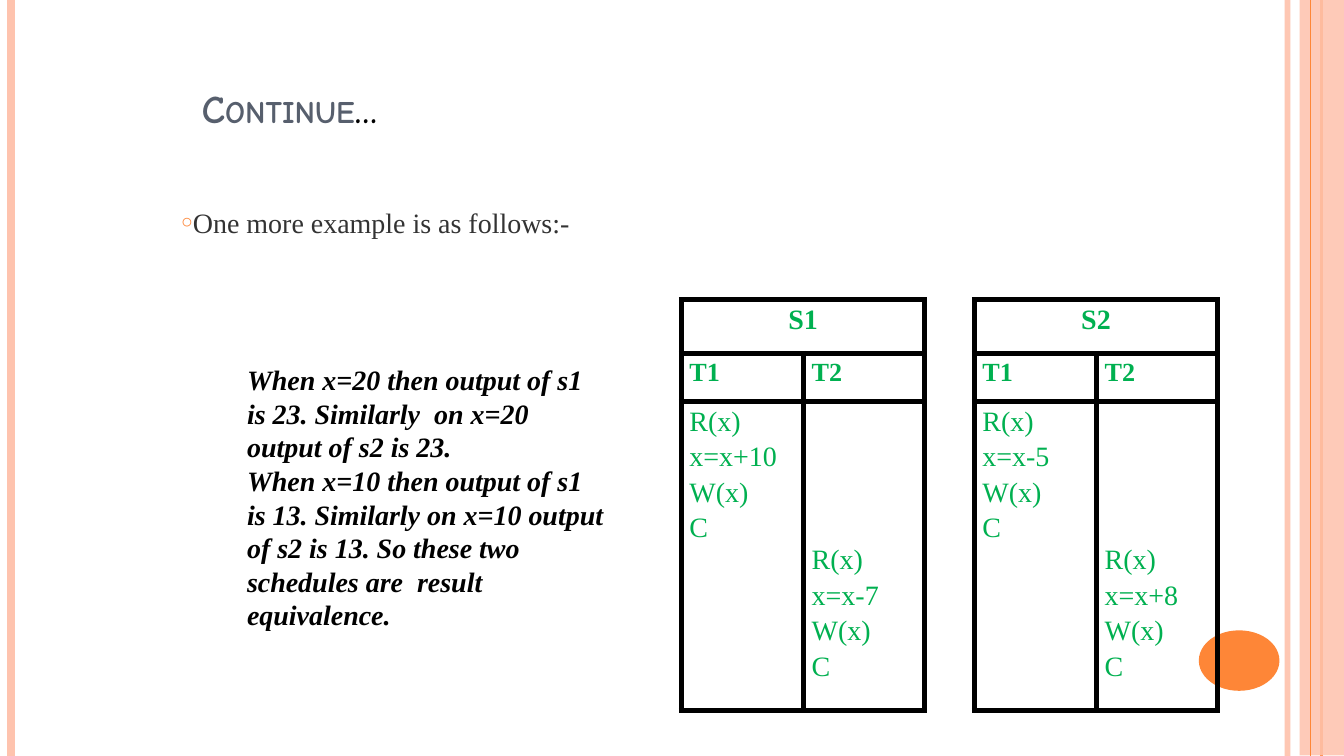
from dataclasses import dataclass

from lxml import etree
from pptx import Presentation
from pptx import util as u
from pptx.dml.color import RGBColor
from pptx.enum import shapes, text
from pptx.oxml import ns


@dataclass(frozen=True)
class Theme:
    peach: str = "FEC3AE"
    orange: str = "FE8637"
    slate: str = "575F6D"
    gray: str = "333333"
    black: str = "000000"
    green: str = "00B050"
    heading_font: str = "Comic Neue"
    body_font: str = "Times New Roman"
    title_size: int = 21
    ellipsis_size: int = 18
    body_size: int = 15
    label_size: int = 14


def add_node(parent, tag, **attributes):
    node = etree.SubElement(parent, ns.qn(tag))
    for name, value in attributes.items():
        node.set(name, str(value))
    return node


def set_alpha(parent, percent):
    for color in parent.iter(ns.qn("a:srgbClr")):
        add_node(color, "a:alpha", val=percent * 1000)


def write(para, content, size, color, font, bold=False, italic=False, small_caps=False):
    span = para.add_run()
    span.text = content
    span.font.size = u.Pt(size)
    span.font.name = font
    span.font.bold = bold
    span.font.italic = italic
    span.font.color.rgb = RGBColor.from_string(color)
    if small_caps:
        span.font._element.set("cap", "small")


def place(shape, left, top, width, height):
    shape.left, shape.top = u.Inches(left), u.Inches(top)
    shape.width, shape.height = u.Inches(width), u.Inches(height)


class SlideBuilder:
    def __init__(self, deck, theme):
        self.deck = deck
        self.theme = theme
        self.page = deck.slides.add_slide(deck.slide_layouts[5])

    def stripe(self, x, color, weight, opacity=100):
        end = self.deck.slide_height
        line = self.page.shapes.add_connector(
            shapes.MSO_CONNECTOR.STRAIGHT, u.Inches(x), 0, u.Inches(x), end)
        line.line.color.rgb = RGBColor.from_string(color)
        line.line.width = u.Pt(weight)
        properties = line._element.spPr
        if opacity < 100:
            set_alpha(properties, opacity)
        add_node(properties, "a:effectLst")

    def shape(self, kind, area, color, opacity=100):
        shape = self.page.shapes.add_shape(kind, *map(u.Inches, area))
        shape.shadow.inherit = False
        shape.fill.solid()
        shape.fill.fore_color.rgb = RGBColor.from_string(color)
        shape.line.fill.background()
        if opacity < 100:
            set_alpha(shape._element.spPr, opacity)

    def title(self, heading, ending, area):
        theme = self.theme
        box = self.page.shapes.title
        place(box, *area)
        frame = box.text_frame
        frame.auto_size = text.MSO_AUTO_SIZE.NONE
        frame.vertical_anchor = text.MSO_ANCHOR.BOTTOM
        para = frame.paragraphs[0]
        para.alignment = text.PP_ALIGN.LEFT
        write(para, heading, theme.title_size, theme.slate, theme.heading_font,
              bold=True, small_caps=True)
        write(para, ending, theme.ellipsis_size, theme.black, theme.heading_font, bold=True)

    def text_box(self, paragraphs, area, color, **style):
        box = self.page.shapes.add_textbox(*map(u.Inches, area))
        frame = box.text_frame
        frame.word_wrap = True
        for index, content in enumerate(paragraphs):
            para = frame.add_paragraph() if index else frame.paragraphs[0]
            write(para, content, self.theme.body_size, color, self.theme.body_font, **style)
        return frame

    def bullet(self, content, area):
        para = self.text_box([content], area, self.theme.gray).paragraphs[0]
        para.alignment = text.PP_ALIGN.JUSTIFY
        para.space_before = u.Pt(6)
        properties = para._p.get_or_add_pPr()
        properties.set("marL", str(u.Inches(0.01)))
        properties.set("indent", str(u.Inches(-0.3)))
        add_node(add_node(properties, "a:buClr"), "a:srgbClr", val=self.theme.orange)
        add_node(properties, "a:buSzPct", val=70000)
        add_node(properties, "a:buFont", typeface=self.theme.body_font)
        add_node(properties, "a:buChar", char="○")

    def cell(self, cell, lines, size, bold=False, align=text.PP_ALIGN.LEFT, top=0):
        cell.margin_left = cell.margin_right = u.Inches(0.06)
        cell.margin_top, cell.margin_bottom = u.Inches(top), 0
        for index, content in enumerate(lines):
            para = cell.text_frame.add_paragraph() if index else cell.text_frame.paragraphs[0]
            para.alignment = align
            para.line_spacing = 1.15
            write(para, content, size, self.theme.green, self.theme.body_font, bold=bold)

    def border(self, cell):
        properties = cell._tc.get_or_add_tcPr()
        for side in ("a:lnL", "a:lnR", "a:lnT", "a:lnB"):
            line = add_node(properties, side, w=u.Pt(3))
            add_node(add_node(line, "a:solidFill"), "a:srgbClr", val=self.theme.black)
        cell.fill.background()

    def schedule(self, name, left, operations):
        theme = self.theme
        columns, rows = (0.91, 0.9), (0.4, 0.36, 2.3)
        table = self.page.shapes.add_table(
            len(rows), len(columns), u.Inches(left), u.Inches(2.23),
            u.Inches(sum(columns)), u.Inches(sum(rows))).table
        table.first_row = table.horz_banding = False
        for column, width in zip(table.columns, columns):
            column.width = u.Inches(width)
        for row, height in zip(table.rows, rows):
            row.height = u.Inches(height)
        table.cell(0, 0).merge(table.cell(0, 1))
        self.cell(table.cell(0, 0), [name], theme.body_size, True, text.PP_ALIGN.CENTER)
        for index, operation in enumerate(operations):
            self.cell(table.cell(1, index), [f"T{index + 1}"], theme.label_size, True)
            self.cell(table.cell(2, index), ["R(x)", operation, "W(x)", "C"],
                      theme.body_size, top=1.03 * index)
        for cell in table.iter_cells():
            self.border(cell)


def main():
    deck = Presentation()
    deck.slide_width, deck.slide_height = u.Inches(10), u.Inches(10 * 9 / 16)
    theme = Theme()
    slide = SlideBuilder(deck, theme)

    slide.stripe(9.58, theme.peach, 3, opacity=93)
    slide.stripe(0.08, theme.peach, 4.5)
    slide.stripe(9.83, theme.orange, 1.5)
    slide.shape(shapes.MSO_SHAPE.RECTANGLE, (9.67, 0, 0.33, 5.62), theme.peach, opacity=87)
    slide.stripe(9.75, theme.orange, 0.75)
    slide.shape(shapes.MSO_SHAPE.OVAL, (8.92, 4.69, 0.6, 0.45), theme.orange)

    slide.title("Continue", "…", (1.4, 0.48, 7.27, 0.55))
    slide.bullet("One more example is as follows:-", (1.25, 1.48, 8.49, 0.98))
    slide.text_box([
        "When x=20 then output of s1 is 23. Similarly  on x=20 output of s2 is 23.",
        "When x=10 then output of s1 is 13. Similarly on x=10 output of s2 is 13. "
        "So these two schedules are  result equivalence.",
    ], (1.74, 2.65, 2.86, 2.12), theme.black, bold=True, italic=True)
    slide.schedule("S1", 5.07, ("x=x+10", "x=x-7"))
    slide.schedule("S2", 7.25, ("x=x-5", "x=x+8"))
    deck.save("out.pptx")


main()
